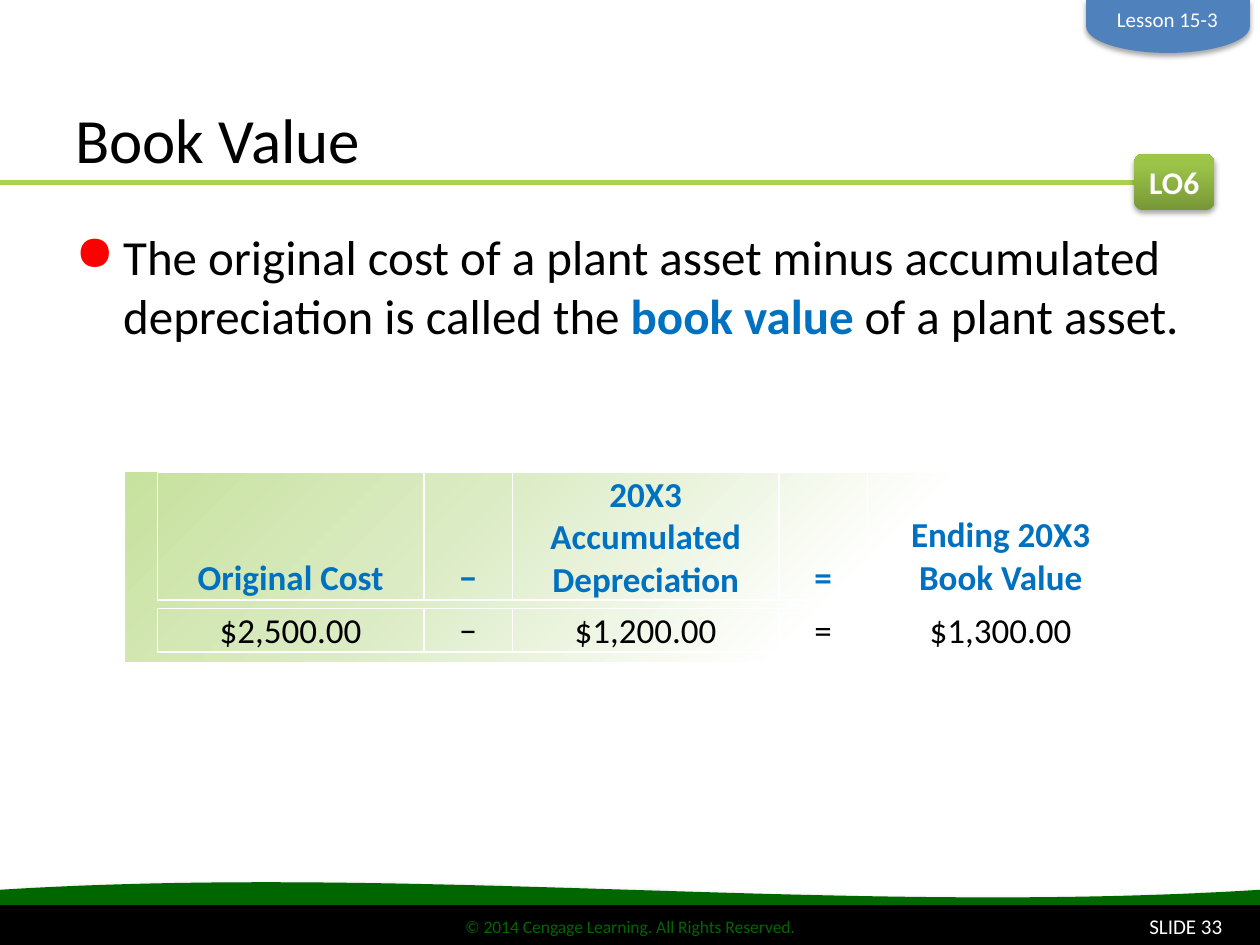
from dataclasses import dataclass
from typing import Optional

from lxml.etree import SubElement
from pptx import Presentation
from pptx.dml.color import RGBColor
from pptx.enum.shapes import MSO_CONNECTOR, MSO_SHAPE
from pptx.enum.text import MSO_ANCHOR, PP_ALIGN
from pptx.oxml import parse_xml
from pptx.oxml.ns import nsdecls, qn
from pptx.util import Emu, Inches, Pt

COLUMNS, ROWS = 40, 30


@dataclass(frozen=True)
class Theme:
    font: str = "Calibri"
    black: str = "000000"
    white: str = "FFFFFF"
    green: str = "006600"
    lime: str = "AAD24B"
    blue: str = "0070C0"
    tab: str = "4F81BD"
    bullet: str = "FF0000"
    badge: tuple = ((0, "779737"), (80, "9BC348"), (100, "9DC746"))
    panel: tuple = ((0, "C7E29E"), (35, "DBEBC4"), (77, "FFFFFF"))
    title_size: int = 36
    body_size: int = 28
    table_size: int = 20
    badge_size: int = 18
    label_size: int = 12
    credit_size: int = 10


@dataclass(frozen=True)
class Area:
    left: float
    top: float
    width: float
    height: float


@dataclass(frozen=True)
class Span:
    text: str
    size: int
    color: str
    bold: bool = False


@dataclass(frozen=True)
class Block:
    area: Area
    kind: Optional[MSO_SHAPE] = None
    fill: Optional[str] = None
    line: Optional[str] = None
    shadow: bool = False
    spans: tuple = ()
    align: PP_ALIGN = PP_ALIGN.CENTER
    anchor: MSO_ANCHOR = MSO_ANCHOR.MIDDLE
    wrap: bool = True
    rotation: int = 0


@dataclass(frozen=True)
class EquationRow:
    area: Area
    cells: tuple
    color: str
    bold: bool


THEME = Theme()
deck = Presentation()
deck.slide_width, deck.slide_height = Inches(10), Inches(7.5)
page = deck.slides.add_slide(deck.slide_layouts[6])


def across(columns: float) -> Emu:
    return Emu(round(deck.slide_width * columns / COLUMNS))


def down(rows: float) -> Emu:
    return Emu(round(deck.slide_height * rows / ROWS))


def place(area: Area) -> tuple:
    return across(area.left), down(area.top), across(area.width), down(area.height)


def add_spans(para, spans: tuple, align: PP_ALIGN) -> None:
    para.alignment = align
    for item in spans:
        for index, text in enumerate(item.text.split("\n")):
            if index:
                para.add_line_break()
            span = para.add_run()
            span.text = text
            span.font.name = THEME.font
            span.font.size = Pt(item.size)
            span.font.bold = item.bold
            span.font.color.rgb = RGBColor.from_string(item.color)


def add_shadow(box) -> None:
    box._element.spPr.append(parse_xml(
        f'<a:effectLst {nsdecls("a")}><a:outerShdw blurRad="{Pt(3.1)}" dist="{Pt(1.8)}" '
        'dir="5400000" rotWithShape="0"><a:srgbClr val="000000"><a:alpha val="35000"/>'
        '</a:srgbClr></a:outerShdw></a:effectLst>'))


def draw_block(shapes, block: Block):
    if block.kind is None:
        box = shapes.add_textbox(*place(block.area))
    else:
        box = shapes.add_shape(block.kind, *place(block.area))
        if block.shadow:
            add_shadow(box)
        else:
            box.shadow.inherit = False
        if block.fill:
            box.fill.solid()
            box.fill.fore_color.rgb = RGBColor.from_string(block.fill)
        if block.line:
            box.line.color.rgb = RGBColor.from_string(block.line)
            box.line.width = Pt(2)
        else:
            box.line.fill.background()
    box.rotation = block.rotation
    box.text_frame.word_wrap = block.wrap
    box.text_frame.vertical_anchor = block.anchor
    add_spans(box.text_frame.paragraphs[0], block.spans, block.align)
    return box


def set_gradient(box, stops: tuple, direction: str) -> None:
    marks = "".join(f'<a:gs pos="{share * 1000}"><a:srgbClr val="{color}"/></a:gs>'
                    for share, color in stops)
    gradient = parse_xml(f'<a:gradFill {nsdecls("a")} rotWithShape="1">'
                         f'<a:gsLst>{marks}</a:gsLst>{direction}</a:gradFill>')
    box._element.spPr.find(qn("a:prstGeom")).addnext(gradient)


def draw_row(row: EquationRow) -> None:
    table = page.shapes.add_table(1, len(row.cells), *place(row.area)).table
    table.first_row = table.horz_banding = False
    shares = (3, 1, 3, 1, 3)
    for index, (share, text) in enumerate(zip(shares, row.cells)):
        table.columns[index].width = across(row.area.width * share / sum(shares))
        cell = table.cell(0, index)
        cell.fill.background()
        cell.margin_left = cell.margin_right = cell.margin_top = Inches(0.01)
        cell.margin_bottom = 0
        cell.vertical_anchor = MSO_ANCHOR.BOTTOM
        span = Span(text, THEME.table_size, row.color, row.bold)
        add_spans(cell.text_frame.paragraphs[0], (span,), PP_ALIGN.CENTER)


def draw_rule() -> None:
    rule = page.shapes.add_connector(MSO_CONNECTOR.STRAIGHT, 0, down(5.8), across(38), down(5.8))
    rule.line.color.rgb = RGBColor.from_string(THEME.lime)
    rule.line.width = Pt(3)
    SubElement(rule._element.spPr, qn("a:effectLst"))


def draw_body() -> None:
    box = draw_block(page.shapes, Block(Area(2, 7, 36, 19.8), anchor=MSO_ANCHOR.TOP))
    para = box.text_frame.paragraphs[0]
    settings = para._p.get_or_add_pPr()
    settings.set("marL", str(Inches(0.38)))
    settings.set("indent", str(-Inches(0.38)))
    color = SubElement(settings, qn("a:buClr"))
    SubElement(color, qn("a:srgbClr")).set("val", THEME.bullet)
    SubElement(settings, qn("a:buChar")).set("char", "●")
    size = THEME.body_size
    add_spans(para, (
        Span("The original cost of a plant asset minus accumulated depreciation is called the ",
             size, THEME.black),
        Span("book value ", size, THEME.blue, True),
        Span("of a plant asset.", size, THEME.black)), PP_ALIGN.LEFT)


def main() -> None:
    shapes = page.shapes
    draw_block(shapes, Block(Area(0, 28, 40, 2), MSO_SHAPE.WAVE, THEME.green, shadow=True))
    draw_block(shapes, Block(
        Area(0, 28.8, 40, 1.2), MSO_SHAPE.RECTANGLE, THEME.black, THEME.black,
        spans=(Span("© 2014 Cengage Learning. All Rights Reserved.",
                    THEME.credit_size, THEME.green),)))
    draw_rule()
    draw_block(shapes, Block(
        Area(2, 0.8, 34, 5), spans=(Span("Book Value", THEME.title_size, THEME.black),),
        align=PP_ALIGN.LEFT, anchor=MSO_ANCHOR.BOTTOM))
    draw_body()
    draw_block(shapes, Block(
        Area(31.2, 28.8, 8, 1.2), MSO_SHAPE.RECTANGLE, THEME.black,
        spans=(Span("SLIDE 33", THEME.label_size, THEME.white),), align=PP_ALIGN.RIGHT))
    badge = draw_block(shapes, Block(
        Area(36, 4.88, 2.56, 1.8), MSO_SHAPE.ROUNDED_RECTANGLE, shadow=True, wrap=False,
        spans=(Span("LO6", THEME.badge_size, THEME.white, True),)))
    set_gradient(badge, THEME.badge, '<a:lin ang="16200000" scaled="0"/>')
    lesson = shapes.add_group_shape().shapes
    draw_block(lesson, Block(Area(36.24, -1.76, 1.68, 5.2), MSO_SHAPE.FLOWCHART_DELAY,
                             THEME.tab, shadow=True, rotation=90))
    draw_block(lesson, Block(
        Area(35.04, 0, 4.04, 1.2), wrap=False, anchor=MSO_ANCHOR.TOP,
        spans=(Span("Lesson 15-3", THEME.label_size, THEME.white),)))
    panel = draw_block(shapes, Block(Area(4, 15, 28.68, 6), MSO_SHAPE.RECTANGLE))
    set_gradient(panel, THEME.panel,
                 '<a:path path="circle"><a:fillToRect r="100000" b="100000"/></a:path>')
    draw_row(EquationRow(
        Area(5, 15, 31, 4.04),
        ("Original Cost", "−", "20X3 Accumulated Depreciation", "=", "Ending 20X3\nBook Value"),
        THEME.blue, True))
    draw_row(EquationRow(
        Area(5, 19.32, 31, 1.36), ("$2,500.00", "−", "$1,200.00", "=", "$1,300.00"),
        THEME.black, False))
    deck.save("out.pptx")


if __name__ == "__main__":
    main()
